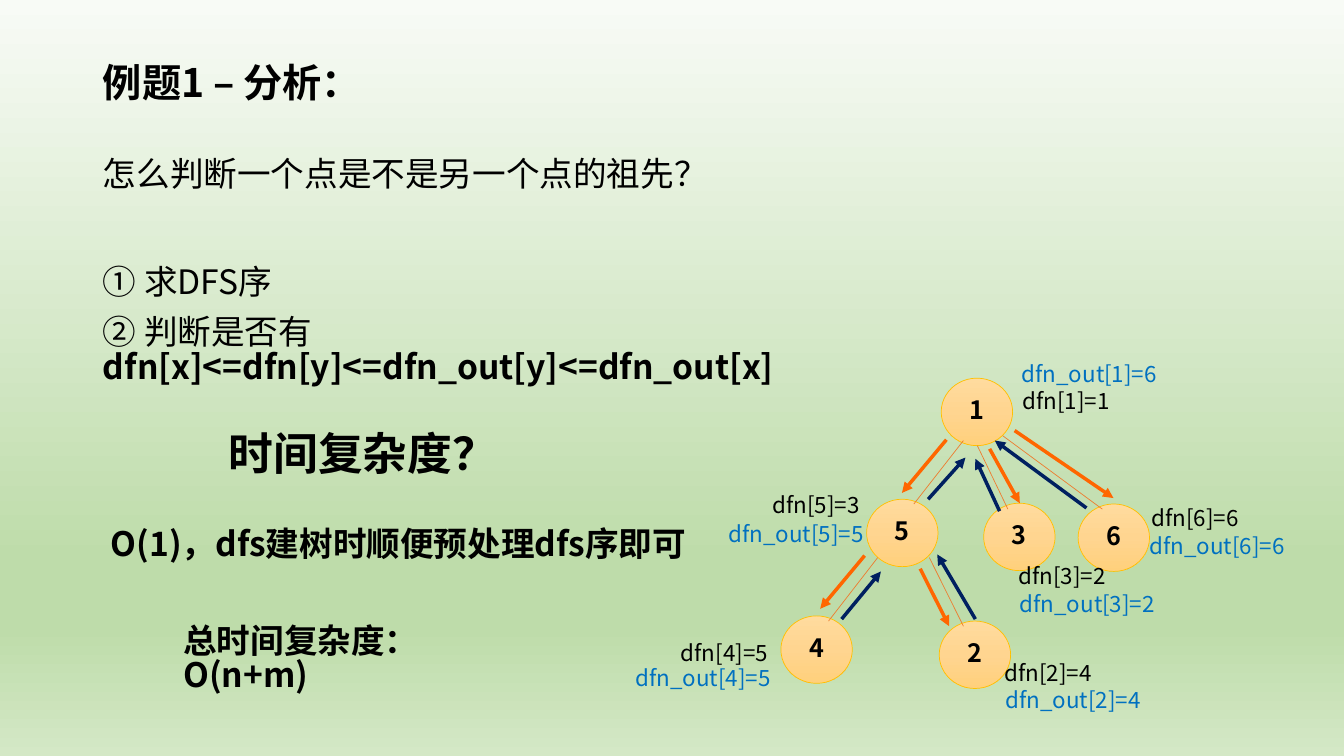
import lxml.etree
import pptx
import pptx.dml.color
import pptx.enum.shapes
import pptx.enum.text
import pptx.oxml.ns
import pptx.util

Cm = pptx.util.Cm
Pt = pptx.util.Pt
RGBColor = pptx.dml.color.RGBColor
qn = pptx.oxml.ns.qn
ANCHOR = pptx.enum.text.MSO_ANCHOR
ALIGN = pptx.enum.text.PP_ALIGN

FONT = "Noto Sans CJK SC"
BLACK = RGBColor(0x00, 0x00, 0x00)
BLUE = RGBColor(0x00, 0x70, 0xC0)
NAVY = RGBColor(0x00, 0x20, 0x60)
ORANGE = RGBColor(0xFF, 0x66, 0x00)
RUST = RGBColor(0xED, 0x7D, 0x31)
GOLD = RGBColor(0xFF, 0xC0, 0x00)
LEAF = RGBColor(0xBE, 0xDC, 0xAA)
MEADOW = [(0, RGBColor(0xF8, 0xFB, 0xF6)), (74, LEAF), (83, LEAF),
          (100, RGBColor(0xD4, 0xE8, 0xC6))]
PEACH = [(0, RGBColor(0xFF, 0xDB, 0x9E)), (50, RGBColor(0xFF, 0xD5, 0x90)),
         (100, RGBColor(0xFF, 0xD0, 0x7C))]

NODE_SIZE = (1.8, 1.7)
NODES = [
    (1, (7.95, 0.46), 1, (9.75, 0.66), 6, (9.73, 0)),
    (5, (6.07, 3.51), 3, (3.45, 3.28), 5, (2.34, 4.01)),
    (3, (9.02, 3.61), 2, (9.65, 5.08), 2, (9.68, 5.79)),
    (2, (7.9, 6.58), 4, (9.3, 7.52), 4, (9.32, 8.2)),
    (4, (3.91, 6.45), 5, (1.14, 7.01), 5, (0, 7.65)),
    (6, (11.4, 3.63), 6, (13, 3.61), 6, (12.95, 4.32)),
]
BRANCHES = [
    (8.51, 2.03, 7.26, 3.63), (8.86, 2.16, 9.63, 3.76),
    (7.65, 4.98, 8.51, 6.71), (6.35, 4.98, 5.11, 6.58),
    (9.5, 1.91, 12.01, 3.76),
]
DESCENTS = [
    (8.08, 2.01, 6.96, 3.35), (6.02, 4.93, 4.9, 6.27),
    (7.42, 5.26, 8.15, 6.71), (9.17, 2.24, 9.93, 3.61),
    (9.8, 1.78, 12.29, 3.48),
]
RETURNS = [
    (7.62, 3.51, 8.56, 2.46), (5.44, 6.53, 6.43, 5.33),
    (8.81, 6.53, 7.85, 4.9), (9.42, 3.81, 8.81, 2.49),
    (11.61, 3.73, 9.3, 2.03),
]


def apply_format(target, values):
    for attribute, value in values.items():
        setattr(target, attribute, value)


def place(part, box):
    apply_format(part, dict(zip(("left", "top", "width", "height"), map(Cm, box))))


def paint_gradient(fill, element, stops):
    fill.gradient()
    fill.gradient_angle = 270
    stop_list = next(element.iter(qn("a:gsLst")))
    for stop in list(stop_list):
        stop_list.remove(stop)
    for position, color in stops:
        stop = lxml.etree.SubElement(stop_list, qn("a:gs"), pos=str(position * 1000))
        lxml.etree.SubElement(stop, qn("a:srgbClr"), val=str(color))


def write(paragraph, text, size, color=BLACK, bold=False):
    run = paragraph.add_run()
    run.text = text
    apply_format(run.font, {"name": FONT, "size": Pt(size), "bold": bold})
    run.font.color.rgb = color
    latin = run.font._element.find(qn("a:latin"))
    latin.addnext(latin.makeelement(qn("a:ea"), {"typeface": FONT}))


def frame_text(part, anchor=ANCHOR.TOP):
    apply_format(part.text_frame, {
        "word_wrap": True,
        "auto_size": pptx.enum.text.MSO_AUTO_SIZE.NONE,
        "vertical_anchor": anchor,
    })
    return part.text_frame


def add_note(slide, box, text, size, color=BLACK, bold=False):
    note = slide.shapes.add_textbox(*map(Cm, box))
    paragraph = frame_text(note).paragraphs[0]
    paragraph.line_spacing = 0.84
    write(paragraph, text, size, color, bold)


def add_heading(slide, box):
    heading = slide.shapes.title
    place(heading, box)
    paragraph = frame_text(heading, ANCHOR.BOTTOM).paragraphs[0]
    apply_format(paragraph, {"alignment": ALIGN.LEFT, "line_spacing": 0.76})
    write(paragraph, "例题1 – 分析：", 28, bold=True)


def add_question(slide, box):
    question = slide.placeholders[1]
    place(question, box)
    frame = frame_text(question)
    lines = [
        (10, [("怎么判断一个点是不是另一个点的祖先？", False)]),
        (52, [("① 求DFS序", False)]),
        (10, [("② 判断是否有 ", False),
              ("dfn[x]<=dfn[y]<=dfn_out[y]<=dfn_out[x]", True)]),
    ]
    for index, (gap, pieces) in enumerate(lines):
        paragraph = frame.add_paragraph() if index else frame.paragraphs[0]
        apply_format(paragraph, {"line_spacing": 0.88, "space_before": Pt(gap)})
        properties = paragraph._p.get_or_add_pPr()
        properties.set("marL", "0")
        properties.set("indent", "0")
        lxml.etree.SubElement(properties, qn("a:buNone"))
        for text, bold in pieces:
            write(paragraph, text, 24, bold=bold)


def add_complexity(slide, box):
    left, top = box[:2]
    add_note(slide, (left + 2.97, top, 6.96, 1.63), "时间复杂度？", 32, bold=True)
    add_note(slide, (left, top + 2.39, 15.14, 2.3),
             "O(1)，dfs建树时顺便预处理dfs序即可", 24, bold=True)
    add_note(slide, (left + 1.83, top + 4.85, 9.27, 2.3),
             "总时间复杂度：O(n+m)", 24, bold=True)


def add_node(slide, box, number):
    node = slide.shapes.add_shape(
        pptx.enum.shapes.MSO_SHAPE.FLOWCHART_CONNECTOR, *map(Cm, box))
    node.shadow.inherit = False
    paint_gradient(node.fill, node.element, PEACH)
    node.line.color.rgb = GOLD
    node.line.width = Pt(0.5)
    paragraph = frame_text(node, ANCHOR.MIDDLE).paragraphs[0]
    apply_format(paragraph, {"alignment": ALIGN.CENTER, "line_spacing": 0.84})
    write(paragraph, str(number), 18, bold=True)


def add_edge(slide, ends, color, width, arrow):
    edge = slide.shapes.add_connector(
        pptx.enum.shapes.MSO_CONNECTOR.STRAIGHT, *map(Cm, ends))
    edge.line.color.rgb = color
    edge.line.width = Pt(width)
    if arrow:
        lxml.etree.SubElement(edge.line._get_or_add_ln(), qn("a:tailEnd"), type="triangle")
    lxml.etree.SubElement(edge.element.spPr, qn("a:effectLst"))


def add_tree(slide, box):
    left, top = box[:2]
    for number, (x, y), *_ in NODES:
        add_node(slide, (left + x, top + y, *NODE_SIZE), number)
    for edges, color, width, arrow in ((BRANCHES, RUST, 0.5, False),
                                       (DESCENTS, ORANGE, 2.5, True),
                                       (RETURNS, NAVY, 2.5, True)):
        for x1, y1, x2, y2 in edges:
            ends = (left + x1, top + y1, left + x2, top + y2)
            add_edge(slide, ends, color, width, arrow)
    for number, _, entry, (x, y), leave, (out_x, out_y) in NODES:
        add_note(slide, (left + x, top + y, 2.97, 0.94), f"dfn[{number}]={entry}", 16)
        add_note(slide, (left + out_x, top + out_y, 4.11, 0.94),
                 f"dfn_out[{number}]={leave}", 16, BLUE)


def main():
    deck = pptx.Presentation()
    apply_format(deck, {"slide_width": Cm(33.87), "slide_height": Cm(19.05)})
    slide = deck.slides.add_slide(deck.slide_layouts[1])
    paint_gradient(slide.background.fill, slide.element, MEADOW)
    add_heading(slide, (2.34, 1.02, 29.21, 1.75))
    add_question(slide, (2.34, 3.86, 22.6, 6.38))
    add_tree(slide, (15.77, 9.07, 17.07, 9.14))
    add_complexity(slide, (2.54, 10.82, 15.14, 7.15))
    deck.save("out.pptx")


if __name__ == "__main__":
    main()
